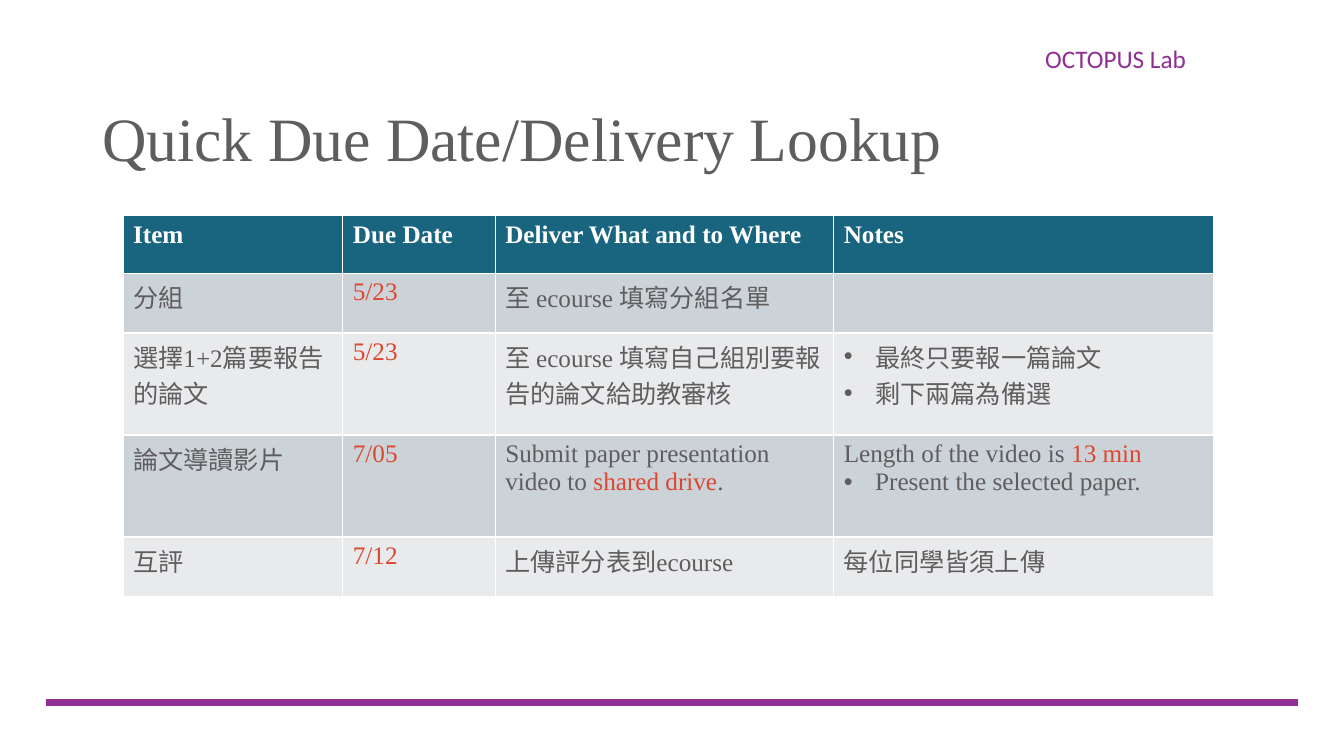
from dataclasses import dataclass
from itertools import product

from lxml import etree
from pptx import Presentation
from pptx import util as u
from pptx.dml.color import RGBColor
from pptx.enum import shapes, text
from pptx.oxml.ns import qn


@dataclass(frozen=True)
class Theme:
    ink: str = "605D5F"
    alert: str = "DD472F"
    brand: str = "8F2E93"
    white: str = "FFFFFF"
    head: str = "19647E"
    bands: tuple = ("CCD3D8", "E8EAEC")
    serif: str = "Times New Roman"
    sans: str = "Calibri"
    large: int = 44
    body: int = 18
    rule: float = 4.5


HEADS = ["Item", "Due Date", "Deliver What and to Where", "Notes"]
# Text between asterisks is highlighted; a leading "• " makes a bullet.
TASKS = [
    ["分組", "*5/23*", "至 ecourse 填寫分組名單", ""],
    ["選擇1+2篇要報告的論文", "*5/23*",
     "至 ecourse 填寫自己組別要報告的論文給助教審核",
     "• 最終只要報一篇論文\n• 剩下兩篇為備選"],
    ["論文導讀影片", "*7/05*",
     "Submit paper presentation video to *shared drive*.",
     "Length of the video is *13 min*\n• Present the selected paper."],
    ["互評", "*7/12*", "上傳評分表到ecourse", "每位同學皆須上傳"],
]
WIDTHS = [5.54, 3.84, 8.53, 9.58]
HEIGHTS = [1.45, 1.5, 2.57, 2.57, 1.5]


class Deck:
    def __init__(self, theme):
        self.theme = theme
        self.prs = Presentation()
        self.prs.slide_width = u.Cm(33.87)
        self.prs.slide_height = u.Cm(19.05)
        self.slide = self.prs.slides.add_slide(self.prs.slide_layouts[6])

    def style(self, run, size, color, face, bold=False):
        font = run.font
        font.size, font.name, font.bold = u.Pt(size), face, bold
        font.color.rgb = RGBColor.from_string(color)

    def rule(self, left, right, top):
        line = self.slide.shapes.add_connector(
            shapes.MSO_CONNECTOR.STRAIGHT,
            u.Cm(left), u.Cm(top), u.Cm(right), u.Cm(top))
        line.line.color.rgb = RGBColor.from_string(self.theme.brand)
        line.line.width = u.Pt(self.theme.rule)
        props = line._element.find(qn("p:spPr"))
        etree.SubElement(props, qn("a:effectLst"))

    def label(self, words, area, size, color, face):
        box = self.slide.shapes.add_textbox(*map(u.Cm, area))
        frame = box.text_frame
        frame.word_wrap = True
        frame.text = words
        self.style(frame.paragraphs[0].runs[0], size, color, face)
        return frame

    def title(self, words, area):
        frame = self.label(words, area, self.theme.large,
                           self.theme.ink, self.theme.serif)
        frame.vertical_anchor = text.MSO_ANCHOR.MIDDLE
        frame.paragraphs[0].line_spacing = 0.9

    def bullet(self, para):
        props = para._p.get_or_add_pPr()
        dent = u.Cm(0.79)
        props.set("marL", str(dent))
        props.set("indent", str(-dent))
        etree.SubElement(props, qn("a:buFont"), typeface="Arial")
        etree.SubElement(props, qn("a:buChar"), char="•")

    def fill(self, cell, words, color, bold):
        """Put text in a cell, reading the bullet and highlight marks."""
        frame = cell.text_frame
        frame.text = words
        for para in frame.paragraphs:
            line = para.text
            para.clear()
            if line.startswith("• "):
                self.bullet(para)
                line = line[2:]
            for i, part in enumerate(line.split("*")):
                if part:
                    run = para.add_run()
                    run.text = part
                    tint = self.theme.alert if i % 2 else color
                    self.style(run, self.theme.body, tint,
                               self.theme.serif, bold)

    def table(self, rows, left, top, widths, heights):
        grid = self.slide.shapes.add_table(
            len(rows), len(widths), u.Cm(left), u.Cm(top),
            u.Cm(sum(widths)), u.Cm(sum(heights))).table
        for col, width in zip(grid.columns, widths):
            col.width = u.Cm(width)
        for row, height in zip(grid.rows, heights):
            row.height = u.Cm(height)
        look = self.theme
        for r, c in product(range(len(rows)), range(len(widths))):
            cell = grid.cell(r, c)
            shade = look.bands[(r - 1) % 2] if r else look.head
            cell.fill.solid()
            cell.fill.fore_color.rgb = RGBColor.from_string(shade)
            self.fill(cell, rows[r][c], look.ink if r else look.white, r == 0)


def main():
    theme = Theme()
    deck = Deck(theme)
    deck.rule(1.17, 32.72, 17.7)
    deck.label("OCTOPUS Lab", (26.09, 0.97, 7, 1.02),
               theme.body, theme.brand, theme.sans)
    deck.title("Quick Due Date/Delivery Lookup", (2.33, 1.73, 29.21, 3.68))
    deck.table([HEADS] + TASKS, 3.1, 5.44, WIDTHS, HEIGHTS)
    deck.prs.save("out.pptx")


if __name__ == "__main__":
    main()
